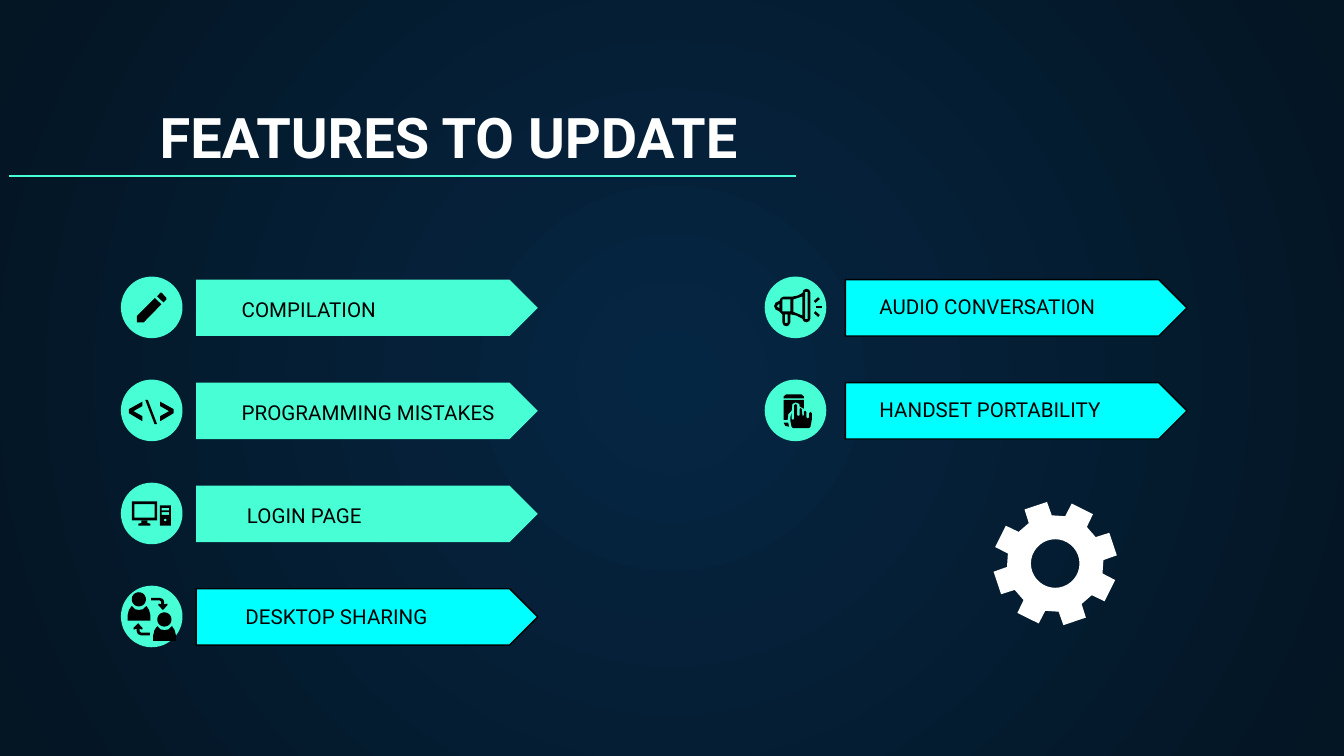
from math import cos, radians, sin

from lxml.etree import SubElement
from pptx import Presentation
from pptx.dml.color import RGBColor
from pptx.enum.shapes import MSO_CONNECTOR, MSO_SHAPE
from pptx.enum.text import MSO_ANCHOR, PP_ALIGN
from pptx.oxml.ns import qn
from pptx.util import Pt

NAVY = RGBColor(0x05, 0x26, 0x43)
MIDNIGHT = RGBColor(0x04, 0x15, 0x23)
MINT = RGBColor(0x48, 0xFF, 0xD5)
CYAN = RGBColor(0x00, 0xFF, 0xFF)
BLACK = RGBColor(0, 0, 0)
WHITE = RGBColor(0xFF, 0xFF, 0xFF)
FONT = "Roboto"

DISC = 33
ARROW_WIDTH, ARROW_HEIGHT = 183, 30.2
FIRST_ROW, ROW_PITCH = 148.2, 55.2


# Contours: lists of (x, y) in points
def rect(left, top, right, bottom):
    return [(left, top), (right, top), (right, bottom), (left, bottom)]


def circle(x, y, radius, steps=36):
    angles = [radians(360 * i / steps) for i in range(steps)]
    return [(x + radius * cos(a), y + radius * sin(a)) for a in angles]


def moved(contour, dx, dy):
    return [(x + dx, y + dy) for x, y in contour]


def gear(x, y, outer, inner, teeth=8, turn=26.4):
    contour = []
    for tooth in range(teeth):
        middle = turn + tooth * 360 / teeth
        for offset, radius in ((-14.5, inner), (-11, outer), (11, outer), (14.5, inner)):
            angle = radians(middle + offset)
            contour.append((x + radius * cos(angle), y + radius * sin(angle)))
    return contour


# Icons: each is a list of parts, each part a list of contours (later ones cut holes)
PENCIL = [[
    [(21.2, 8.6), (19.4, 10.5), (22.8, 13.8), (24.4, 12.2), (24.4, 11.4), (21.8, 8.6)],
    [(18.2, 11.5), (8.6, 21), (8.6, 24.5), (12.2, 24.5), (21.7, 14.8)],
]]

BRACKET = [(11.5, 22.3), (4.3, 18), (4.3, 15.8), (11.5, 11.8), (11.5, 14.2),
           (6.7, 16.9), (11.5, 19.6)]
CODE = [
    [BRACKET],
    [[(18, 23.8), (13, 10.8), (14.4, 10.8), (19.4, 23.8)]],
    [[(32.5 - x, y) for x, y in BRACKET]],
]

COMPUTER = [
    [rect(5.8, 10.1, 19.4, 20.2), rect(7.2, 11.5, 18, 18.7)],
    [[(11, 20.2), (14.2, 20.2), (14.2, 21.6), (15.8, 22), (15.8, 23), (9.4, 23),
      (9.4, 22), (11, 21.6)]],
    [rect(20.9, 12.2, 26.8, 23), rect(21.8, 13.5, 25.9, 14.9),
     rect(21.8, 15.8, 25.9, 17.2), circle(23.8, 20, 0.7)],
]

HEAD = circle(9.6, 7.3, 3.8)
TORSO = [(5.8, 10.8), (4.3, 13), (3.6, 15.8), (3.6, 18.7), (15.8, 18.7), (15.8, 15.8),
         (15.1, 13), (13.7, 10.8), (11.8, 12.6), (9.7, 13), (7.6, 12.6)]
HOOK = [(16.2, 6.5), (20.9, 6.5), (22.6, 7.2), (23.2, 8.6), (23.2, 10), (24.8, 9.6),
        (25, 10.4), (22.5, 13), (20, 10.4), (20.3, 9.6), (21.6, 10), (21.6, 8.6),
        (20.9, 7.9), (16.2, 7.9)]
SHARING = [
    [HEAD], [TORSO], [moved(HEAD, 13.7, 10.8)], [moved(TORSO, 13.7, 10.8)],
    [HOOK], [[(31.7 - x, 33.1 - y) for x, y in HOOK]],
]

MEGAPHONE = [
    [[(22.3, 6.5), (20.8, 7.2), (20.2, 8.8), (17.5, 10.2), (14.4, 10.8), (10.1, 10.8),
      (8.6, 11.5), (7.9, 13), (5.8, 14), (5, 15.8), (5.8, 17.6), (7.9, 18.7),
      (9.4, 20.2), (9.4, 24.5), (10.2, 26.1), (11.5, 26.6), (12.9, 26.1), (13.7, 24.5),
      (13.7, 20.2), (17, 20.9), (20.2, 22.6), (20.9, 24), (22.3, 24.5), (23.9, 23.9),
      (24.5, 22.3), (24.5, 8.6), (23.9, 7.1)],
     [(7.9, 14.4), (7.9, 17.2), (6.5, 15.8)],
     rect(9.4, 12.2, 13.7, 18.7),
     [(20.2, 10.6), (20.2, 20.9), (15.4, 18.9), (15.4, 12.2)],
     rect(21.6, 8.2, 23, 22.8),
     rect(10.8, 20.2, 12.2, 24.8)],
    [rect(27.4, 15.6, 30.6, 17)],
    [[(26.3, 19.5), (27.2, 18.5), (29.5, 20.6), (28.6, 21.6)]],
    [[(26.3, 13.1), (27.2, 14.1), (29.5, 12), (28.6, 11)]],
]

TOUCH_PHONE = [
    [[(11.5, 7.9), (19.6, 7.9), (20.9, 9), (20.9, 10.1), (10.1, 10.1), (10.1, 9)]],
    [[(10.1, 10.8), (20.9, 10.8), (20.9, 15.6), (18.7, 14.4), (18.5, 13), (16.6, 12.2),
      (14.8, 13), (14.4, 16.6), (12.6, 18.5), (12.2, 21.6), (10.1, 21.6)]],
    [[(10.1, 23), (12.6, 23), (13, 25.2), (11, 24.8)]],
    [[(16.6, 13), (15.8, 13.7), (15.8, 20.9), (15.1, 21.6), (14.4, 20.9), (14.4, 18),
      (13.7, 20.2), (13.7, 22), (14.4, 25.2), (15.1, 25.9), (23.8, 25.9), (24.5, 25.2),
      (25.2, 21.5), (25.2, 18), (24.5, 17.3), (23.8, 18), (23.8, 20.2), (23, 20.9),
      (22.3, 20.2), (22.3, 17.3), (21.6, 16.6), (20.9, 17.3), (20.9, 19.1), (20.2, 19.4),
      (19.8, 15.8), (19.3, 15.1), (18.7, 15.8), (18.7, 19.1), (18, 19.4), (17.3, 19.1),
      (17.3, 13.7)]],
]

# Label, label indent, icon, arrow colour
LEFT_FEATURES = [
    ("COMPILATION", 24.4, PENCIL, MINT),
    ("PROGRAMMING MISTAKES", 24.4, CODE, MINT),
    ("LOGIN PAGE", 27.2, COMPUTER, MINT),
    ("DESKTOP SHARING", 26.4, SHARING, CYAN),
]
RIGHT_FEATURES = [
    ("AUDIO CONVERSATION", 18.2, MEGAPHONE, CYAN),
    ("HANDSET PORTABILITY", 18.2, TOUCH_PHONE, CYAN),
]


def paint(shape, fill, line=None):
    shape.shadow.inherit = False
    shape.fill.solid()
    shape.fill.fore_color.rgb = fill
    if line is None:
        shape.line.fill.background()
    else:
        shape.line.color.rgb = line
        shape.line.width = Pt(0.75)


def write(shape, text, size, color, anchor, bold=False):
    frame = shape.text_frame
    frame.word_wrap = True
    frame.vertical_anchor = anchor
    para = frame.paragraphs[0]
    para.text = text
    para.alignment = PP_ALIGN.LEFT
    para.font.name, para.font.size, para.font.bold = FONT, Pt(size), bold
    para.font.color.rgb = color
    return frame


def add_outline(shapes, left, top, contours, color):
    builder = None
    for contour in contours:
        (x, y), *others = [(Pt(x), Pt(y)) for x, y in contour]
        if builder is None:
            builder = shapes.build_freeform(x, y)
        else:
            builder.move_to(x, y)
        builder.add_line_segments(others, close=True)
    paint(builder.convert_to_shape(Pt(left), Pt(top)), color)


def add_background(page):
    fill = page.background.fill
    fill.gradient()
    for stop, color in zip(fill.gradient_stops, (NAVY, MIDNIGHT)):
        stop.color.rgb = color
    gradient = page.element.find(".//" + qn("a:gradFill"))
    gradient.remove(gradient.find(qn("a:lin")))
    radial = SubElement(gradient, qn("a:path"))
    radial.set("path", "circle")
    center = SubElement(radial, qn("a:fillToRect"))
    for side in "ltrb":
        center.set(side, "50000")


def add_heading(page, left, top, width, height):
    box = page.shapes.add_textbox(Pt(left), Pt(top), Pt(width), Pt(height))
    frame = write(box, "FEATURES TO UPDATE", 30, WHITE, MSO_ANCHOR.BOTTOM, bold=True)
    frame.margin_left = frame.margin_bottom = Pt(7.2)
    # Rule under the heading
    rule_y = Pt(top + height - 3.6)
    rule = page.shapes.add_connector(MSO_CONNECTOR.STRAIGHT, Pt(426.2), rule_y, Pt(5), rule_y)
    rule.line.color.rgb = MINT
    rule.line.width = Pt(0.75)
    SubElement(rule.element.spPr, qn("a:effectLst"))


def add_feature(page, left, top, arrow_left, label, indent, icon, color):
    # Arrow with its label
    arrow = page.shapes.add_shape(MSO_SHAPE.PENTAGON, Pt(arrow_left), Pt(top + 1.6),
                                  Pt(ARROW_WIDTH), Pt(ARROW_HEIGHT))
    paint(arrow, color, BLACK if color == CYAN else None)
    frame = write(arrow, label, 11, BLACK, MSO_ANCHOR.MIDDLE)
    frame.margin_left, frame.margin_right = Pt(indent), Pt(0)
    frame.margin_top, frame.margin_bottom = Pt(3.2 if color == MINT else 0), Pt(1.2)
    # Disc with its icon
    disc = page.shapes.add_shape(MSO_SHAPE.OVAL, Pt(left), Pt(top), Pt(DISC), Pt(DISC))
    paint(disc, MINT)
    group = page.shapes.add_group_shape()
    for contours in icon:
        add_outline(group.shapes, left, top, contours, BLACK)


def add_column(page, left, arrow_left, features):
    for row, feature in enumerate(features):
        add_feature(page, left, FIRST_ROW + row * ROW_PITCH, arrow_left, *feature)


def main():
    deck = Presentation()
    deck.slide_width, deck.slide_height = Pt(720), Pt(405)
    page = deck.slides.add_slide(deck.slide_layouts[6])
    add_background(page)
    add_heading(page, 78.5, 50.4, 617, 47.5)
    add_column(page, 64.8, 105.1, LEFT_FEATURES)
    add_column(page, 409.7, 452.9, RIGHT_FEATURES)
    # Gear
    add_outline(page.shapes, 532, 268.6, [gear(33.3, 33.3, 33.3, 25.9),
                                          circle(33.3, 33.3, 13)], WHITE)
    deck.save("out.pptx")


if __name__ == "__main__":
    main()
